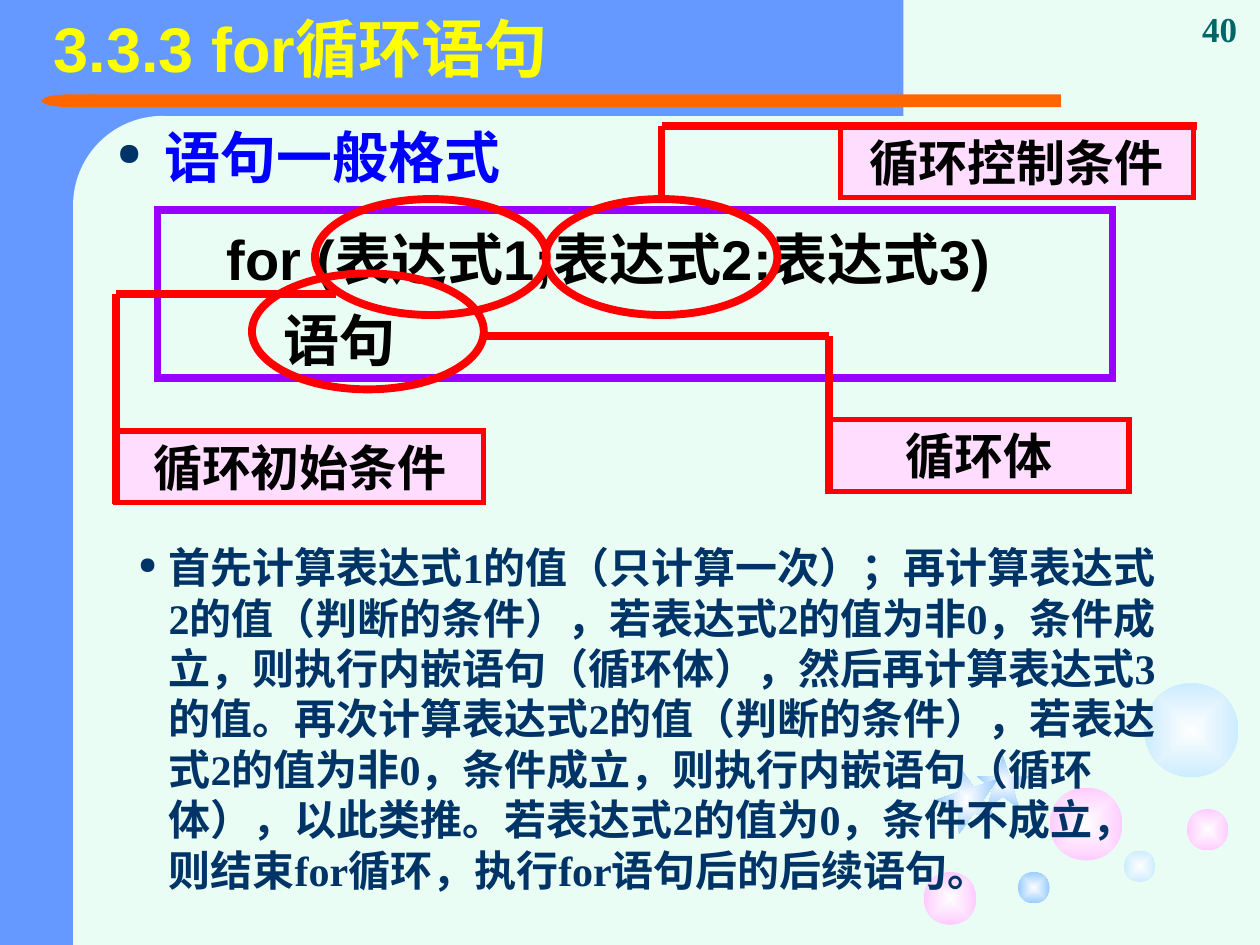
from lxml import etree
from pptx import Presentation
from pptx.dml.color import RGBColor
from pptx.enum.shapes import MSO_CONNECTOR, MSO_SHAPE
from pptx.enum.text import MSO_ANCHOR, PP_ALIGN
from pptx.oxml.ns import qn
from pptx.util import Cm, Pt

RECT, OVAL, STAR = MSO_SHAPE.RECTANGLE, MSO_SHAPE.OVAL, MSO_SHAPE.STAR_5_POINT
ROUNDED, DELAY = MSO_SHAPE.ROUNDED_RECTANGLE, MSO_SHAPE.FLOWCHART_DELAY
STRAIGHT = MSO_CONNECTOR.STRAIGHT
TOP, MIDDLE, BOTTOM = MSO_ANCHOR.TOP, MSO_ANCHOR.MIDDLE, MSO_ANCHOR.BOTTOM
LEFT, CENTER = PP_ALIGN.LEFT, PP_ALIGN.CENTER

MINT = RGBColor(0xE9, 0xFD, 0xF4)
BLUE = RGBColor(0x66, 0x99, 0xFF)
ORANGE = RGBColor(0xFF, 0x66, 0x00)
YELLOW = RGBColor(0xFF, 0xFF, 0x00)
HEADING_BLUE = RGBColor(0x00, 0x00, 0xFF)
NAVY = RGBColor(0x00, 0x33, 0x66)
TEAL = RGBColor(0x00, 0x66, 0x66)
PURPLE = RGBColor(0x99, 0x00, 0xFF)
RED = RGBColor(0xFF, 0x00, 0x00)
PALE_PINK = RGBColor(0xFF, 0xDD, 0xFF)
BLACK = RGBColor(0, 0, 0)
GLOW = RGBColor(0xFE, 0xFE, 0xFE)
PINK = RGBColor(0xFF, 0xCC, 0xFF)
SKY = RGBColor(0xCC, 0xEC, 0xFF)
AZURE = RGBColor(0x99, 0xCC, 0xFF)

SANS, SERIF = "Arial", "Times New Roman"

# Content; places are left, top, width, height in inches
TITLE = "3.3.3 for循环语句"
PAGE_NUMBER = "40"
HEADING = "语句一般格式"
# text, left indent, space before (points)
SYNTAX = [("for (表达式1;表达式2;表达式3)", 0.87, 20), ("语句", 1.32, 8)]
EXPLANATION = (
    "首先计算表达式1的值（只计算一次）；再计算表达式2的值（判断的条件），"
    "若表达式2的值为非0，条件成立，则执行内嵌语句（循环体），然后再计算表达式3的值。"
    "再次计算表达式2的值（判断的条件），若表达式2的值为非0，条件成立，"
    "则执行内嵌语句（循环体），以此类推。若表达式2的值为0，条件不成立，"
    "则结束for循环，执行for语句后的后续语句。"
)
LABELS = [
    ("循环初始条件", (0.92, 3.42, 2.92, 0.57)),
    ("循环控制条件", (6.67, 1, 2.8, 0.57)),
    ("循环体", (6.58, 3.33, 2.38, 0.57)),
]
RING_SIZE = (1.84, 0.92)
INITIAL_RING, BODY_RING, CONDITION_RING = (2.5, 1.58), (2, 2.17), (4.33, 1.58)
LEADERS = [  # corner points of each leader
    [(0.92, 4), (0.92, 2.33), (2.67, 2.33)],
    [(3.83, 2.67), (6.58, 2.67), (6.58, 3.92)],
    [(5.25, 1), (9.5, 1)],
]
BACKDROP = [
    (RECT, (0, 0, 1.25, 7.5), BLUE),
    (RECT, (0.5, 0, 6.67, 0.92), BLUE),
    (ROUNDED, (0.58, 0.92, 1.42, 5.75), MINT),
    (RECT, (0.75, 0.75, 7.67, 0.1), ORANGE),
    (DELAY, (0.33, 0.75, 0.43, 0.1), ORANGE),
    (RECT, (0.58, 5.92, 1.42, 1.58), MINT),
]
BUBBLES = [  # left, top, diameter, colour
    (8.33, 6.25, 0.58, PINK), (7.33, 6.92, 0.42, PINK), (8.92, 6.75, 0.25, SKY),
    (9.42, 6.42, 0.33, PINK), (9.08, 5.42, 0.75, SKY), (8.08, 6.92, 0.25, AZURE),
]
STARS = [((7.75, 6, 0.42, 0.42), 0), ((7.4, 6.1, 0.54, 0.5), 270)]


def inch(value):
    return Cm(value * 2.54)


def add_shape(kind, place, fill=None, line=None, width=0):
    shape = slide.shapes.add_shape(kind, *map(inch, place))
    shape.shadow.inherit = False
    if fill is None:
        shape.fill.background()
    else:
        shape.fill.solid()
        shape.fill.fore_color.rgb = fill
    if line is None:
        shape.line.fill.background()
    else:
        shape.line.color.rgb = line
        shape.line.width = Pt(width)
        outline = shape._element.spPr.find(qn("a:ln"))
        etree.SubElement(outline, qn("a:miter"), lim="800000")
    return shape


def add_glowing(kind, place, color):
    shape = add_shape(kind, place)
    shape.fill.gradient()
    for stop, rgb in zip(shape.fill.gradient_stops, (GLOW, color)):
        stop.color.rgb = rgb
    gradient = shape._element.spPr.find(qn("a:gradFill"))
    gradient.remove(gradient.find(qn("a:lin")))
    rays = etree.SubElement(gradient, qn("a:path"), path="rect")
    etree.SubElement(rays, qn("a:fillToRect"), l="50000", t="50000", r="50000", b="50000")
    return shape


def add_line(start, end):
    line = slide.shapes.add_connector(STRAIGHT, *map(inch, start + end))
    line.line.color.rgb = RED
    line.line.width = Pt(4.5)
    etree.SubElement(line._element.spPr, qn("a:effectLst"))
    return line


def add_text(place, anchor=TOP):
    frame = slide.shapes.add_textbox(*map(inch, place)).text_frame
    frame.word_wrap = True
    frame.vertical_anchor = anchor
    return frame


def write(paragraph, text, size, font, color, align=LEFT):
    paragraph.text = text
    paragraph.alignment = align
    paragraph.font.size = Pt(size)
    paragraph.font.name = font
    paragraph.font.bold = True
    paragraph.font.color.rgb = color


def indent(paragraph, left, hanging=0):
    properties = paragraph._p.get_or_add_pPr()
    properties.set("marL", str(inch(left)))
    properties.set("indent", str(-inch(hanging)))
    properties.set("hangingPunct", "0")
    return properties


def add_bullet(paragraph, hanging):
    properties = indent(paragraph, hanging, hanging)
    color = etree.SubElement(properties, qn("a:buClr"))
    etree.SubElement(color, qn("a:srgbClr"), val=str(NAVY))
    etree.SubElement(properties, qn("a:buSzPct"), val="56000")
    etree.SubElement(properties, qn("a:buChar"), char="●")


presentation = Presentation()
presentation.slide_width, presentation.slide_height = inch(10), inch(7.5)
slide = presentation.slides.add_slide(presentation.slide_layouts[6])
slide.background.fill.solid()
slide.background.fill.fore_color.rgb = MINT

# Backdrop and decoration
for kind, place, color in BACKDROP:
    panel = add_shape(kind, place, color)
    if kind == ROUNDED:
        panel.adjustments[0] = 0.5
    elif kind == DELAY:
        panel._element.spPr.xfrm.set("flipH", "1")
for left, top, diameter, color in BUBBLES:
    add_glowing(OVAL, (left, top, diameter, diameter), color)
for place, angle in STARS:
    add_glowing(STAR, place, AZURE).rotation = angle

# Title
title = add_text((0.33, 0, 8.42, 0.83), MIDDLE).paragraphs[0]
write(title, TITLE, 36, SANS, YELLOW)
title.line_spacing = 0.9

# Heading and syntax of the statement
syntax = add_text((0.83, 0.92, 8.75, 2.33))
heading = syntax.paragraphs[0]
add_bullet(heading, 0.38)
write(heading, HEADING, 32, SANS, HEADING_BLUE)
for text, left, space in SYNTAX:
    code = syntax.add_paragraph()
    indent(code, left)
    write(code, text, 32, SANS, BLACK)
    code.space_before = Pt(space)
add_shape(RECT, (1.25, 1.67, 7.58, 1.33), line=PURPLE, width=4.5)

# Explanation
explanation = add_text((1, 4.25, 8.42, 2.9)).paragraphs[0]
add_bullet(explanation, 0.24)
write(explanation, EXPLANATION, 24, SERIF, NAVY)

# Labels with their rings and leaders
for text, place in LABELS:
    label = add_shape(RECT, place, PALE_PINK, RED, 3).text_frame
    label.vertical_anchor = TOP
    write(label.paragraphs[0], text, 28, SERIF, BLACK, CENTER)
for corners in LEADERS:
    for start, end in zip(corners, corners[1:]):
        add_line(start, end)
for corner in (INITIAL_RING, BODY_RING, CONDITION_RING):
    ring = add_shape(OVAL, corner + RING_SIZE, line=RED, width=4.5)
condition_drop = add_line((5.25, 1), (5.25, 1.58))
condition_drop.end_connect(ring, 0)

# Page number
number = add_text((9.36, 0, 0.64, 0.44), BOTTOM).paragraphs[0]
write(number, PAGE_NUMBER, 20, SERIF, TEAL, CENTER)

presentation.save("out.pptx")
